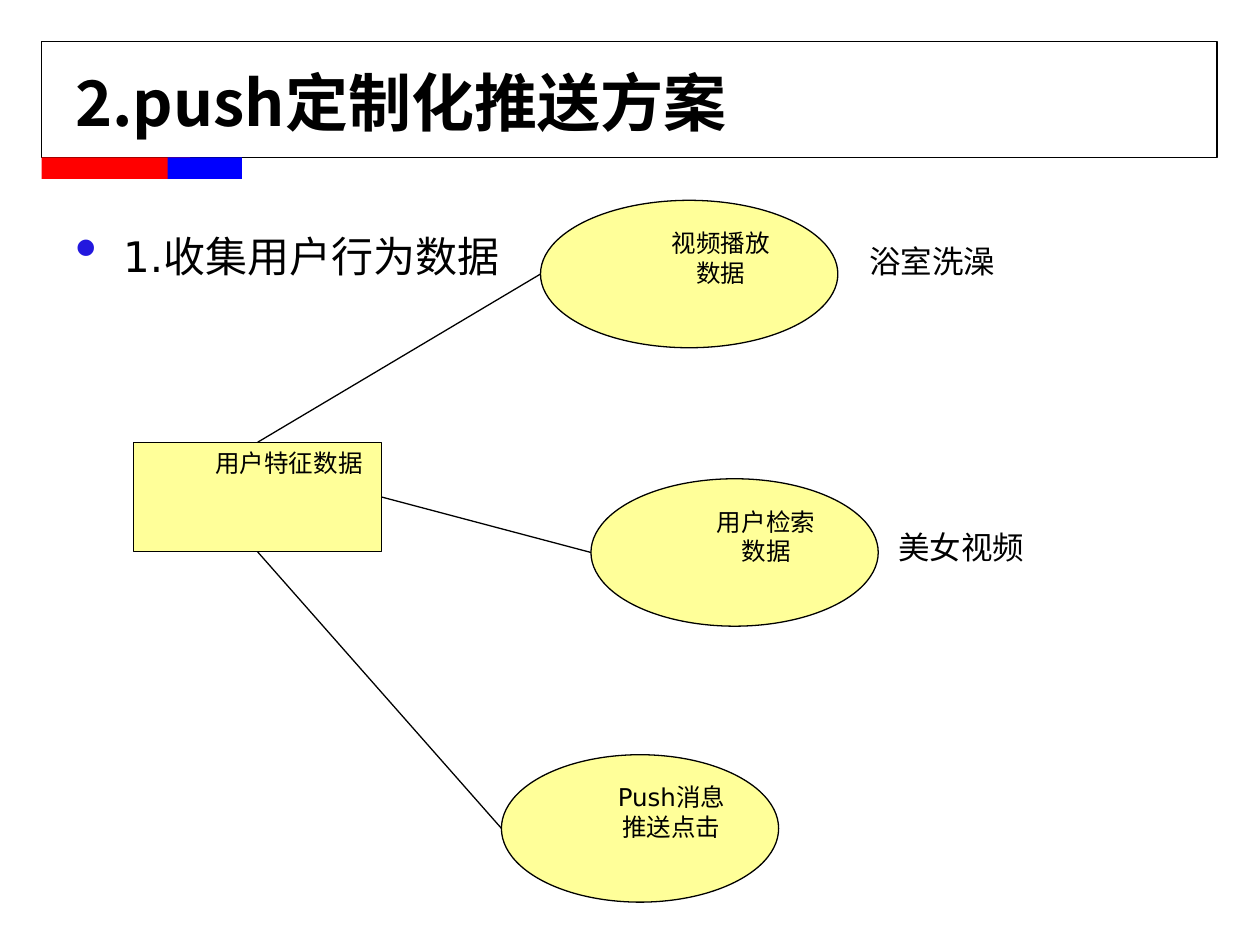
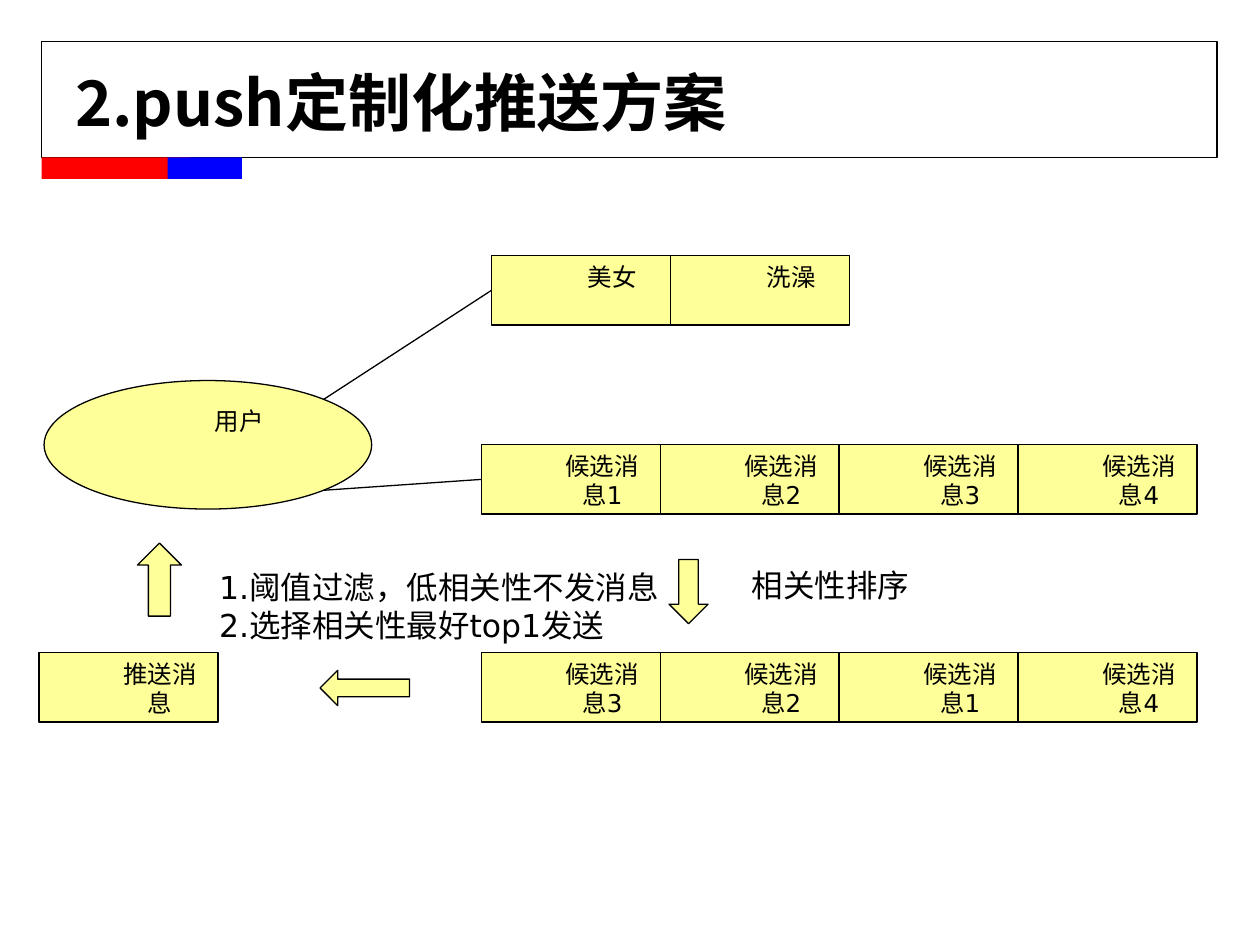
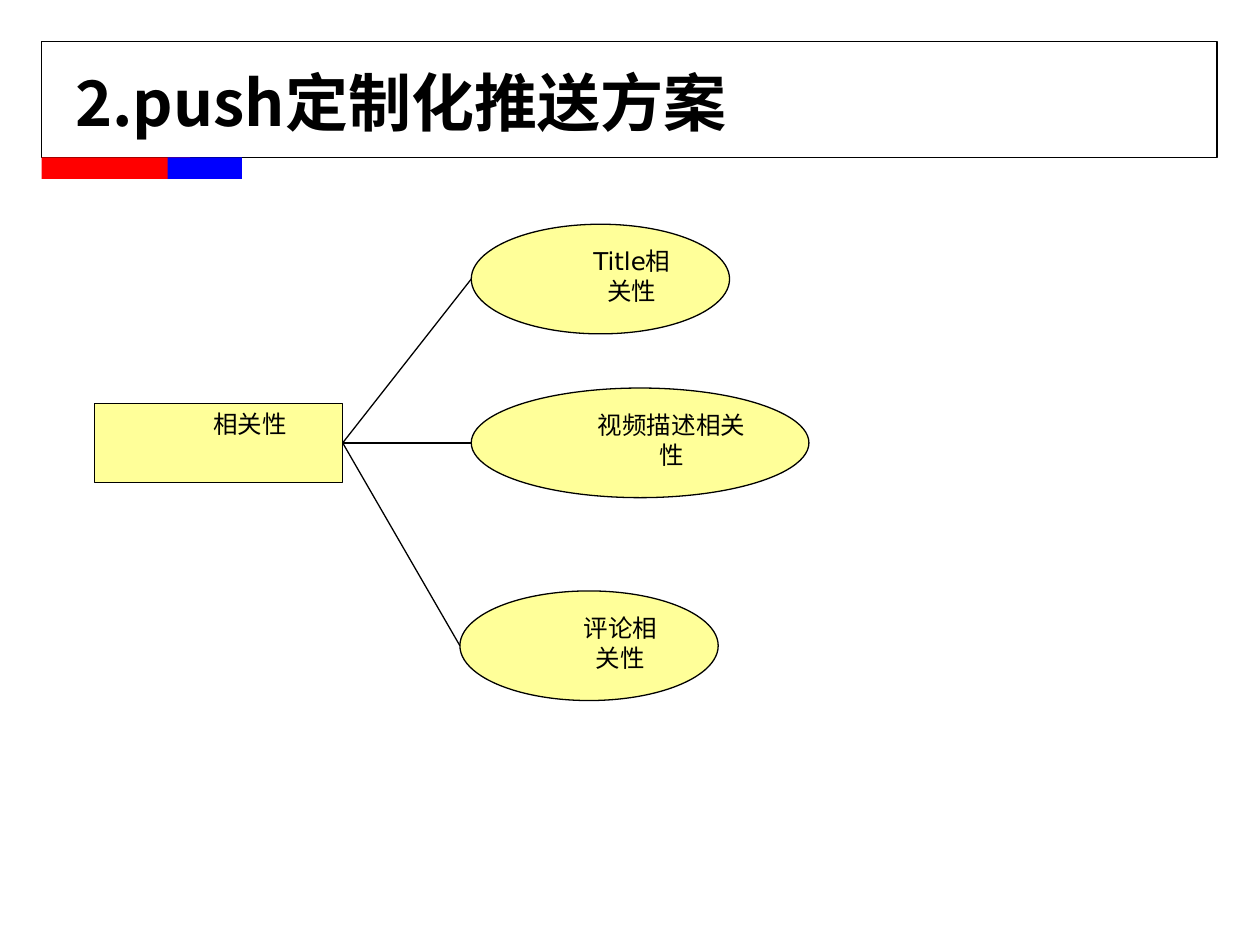
from collections import namedtuple

from lxml import etree
from pptx import Presentation
from pptx.dml.color import RGBColor
from pptx.enum.shapes import MSO_CONNECTOR, MSO_SHAPE
from pptx.enum.text import MSO_ANCHOR, MSO_AUTO_SIZE, PP_ALIGN
from pptx.oxml.ns import qn
from pptx.util import Inches, Pt

RECT, ELLIPSE = MSO_SHAPE.RECTANGLE, MSO_SHAPE.OVAL
UP, DOWN, LEFT = MSO_SHAPE.UP_ARROW, MSO_SHAPE.DOWN_ARROW, MSO_SHAPE.LEFT_ARROW
STRAIGHT = MSO_CONNECTOR.STRAIGHT
TOP, MIDDLE = MSO_ANCHOR.TOP, MSO_ANCHOR.MIDDLE
ALIGN_LEFT, ALIGN_CENTER = PP_ALIGN.LEFT, PP_ALIGN.CENTER
GROW = MSO_AUTO_SIZE.SHAPE_TO_FIT_TEXT

COLORS = {"ink": "000000", "node": "FFFF99", "red": "FF0000",
          "blue": "0000FF", "bullet": "2318DE"}
TITLE_FONT, BODY_FONT = "Noto Sans CJK SC", "DejaVu Sans"
TITLE_STYLE = {"name": TITLE_FONT, "size": Pt(36), "bold": True}
BODY_STYLE = {"name": BODY_FONT, "size": Pt(24)}
LABEL_STYLE = {"name": BODY_FONT, "size": Pt(18)}
NODE_STYLE = {"name": BODY_FONT, "size": Pt(14)}
LINE_WIDTH = Pt(0.75)
TITLE = "2.push定制化推送方案"

# Points on a box as fractions of its width and height
SIDES = {"top": (0.5, 0), "left": (0, 0.5), "right": (1, 0.5), "bottom": (0.5, 1),
         "upper right": (0.854, 0.146), "lower right": (0.854, 0.854)}

Box = namedtuple("Box", "left top width height")


def inside(region, left, top, width, height):
    """Return a box given in inches from the region's corner."""
    return Box(region.left + Inches(left), region.top + Inches(top),
               Inches(width), Inches(height))


def point(box, side):
    """Return the named point on a box."""
    across, down = SIDES[side]
    return int(box.left + box.width * across), int(box.top + box.height * down)


def color(name):
    """Return a palette colour."""
    return RGBColor.from_string(COLORS[name])


def write(frame, lines, style, align=ALIGN_LEFT, anchor=TOP):
    """Write one paragraph a line and return the paragraphs."""
    frame.word_wrap = True
    frame.vertical_anchor = anchor
    for index, line in enumerate(lines):
        para = frame.paragraphs[0] if index == 0 else frame.add_paragraph()
        para.alignment = align
        span = para.add_run()
        span.text = line
        for key, value in style.items():
            setattr(span.font, key, value)
        span.font.color.rgb = color("ink")
        east_asian = etree.SubElement(span.font._element, qn("a:ea"))
        east_asian.set("typeface", style["name"])
    return frame.paragraphs


def add_figure(page, kind, box, fill=None, line="ink"):
    """Add a flat preset shape."""
    shape = page.shapes.add_shape(kind, *box)
    shape.shadow.inherit = False
    if fill:
        shape.fill.solid()
        shape.fill.fore_color.rgb = color(fill)
    else:
        shape.fill.background()
    if line:
        shape.line.color.rgb = color(line)
        shape.line.width = LINE_WIDTH
    else:
        shape.line.fill.background()
    return shape


def add_node(page, kind, box, text):
    """Add a yellow node with indented, centred text."""
    shape = add_figure(page, kind, box, "node")
    para = write(shape.text_frame, [text], NODE_STYLE, ALIGN_CENTER)[0]
    properties = para._p.get_or_add_pPr()
    properties.set("marL", str(Inches(0.5)))
    properties.set("indent", "0")


def add_text(page, box, lines, style, anchor=TOP, grow=False):
    """Add a text box and return its paragraphs."""
    frame = page.shapes.add_textbox(*box).text_frame
    if grow:
        frame.auto_size = GROW
    return write(frame, lines, style, anchor=anchor)


def add_link(page, start, end):
    """Join two points with a thin straight line."""
    link = page.shapes.add_connector(STRAIGHT, *start, *end)
    link.line.color.rgb = color("ink")
    link.line.width = LINE_WIDTH
    etree.SubElement(link._element.spPr, qn("a:effectLst"))


def add_bullet(page, box, text):
    """Add a heading with a coloured bullet and hanging indent."""
    para = add_text(page, box, [text], BODY_STYLE)[0]
    para.line_spacing = 1.15
    para.space_before = para.space_after = Pt(6)
    properties = para._p.get_or_add_pPr()
    properties.set("marL", str(Inches(0.38)))
    properties.set("indent", str(-Inches(0.38)))
    tint = etree.SubElement(properties, qn("a:buClr"))
    etree.SubElement(tint, qn("a:srgbClr")).set("val", COLORS["bullet"])
    etree.SubElement(properties, qn("a:buSzPct")).set("val", "150000")
    etree.SubElement(properties, qn("a:buChar")).set("char", "•")


def add_header(page, box):
    """Draw the framed title with the red and blue band below it."""
    height = 0.92
    add_figure(page, RECT, box)
    add_figure(page, RECT, inside(box, 0, height, 1.18, 0.17), "red", None)
    add_figure(page, RECT, inside(box, 1, height, 0.59, 0.17), "blue", None)
    add_text(page, inside(box, 0.17, 0.05, 9, 0.85), [TITLE], TITLE_STYLE, MIDDLE)


def add_fan(page, region, root, leaves):
    """Draw a root rectangle joined to ellipses; a leaf names its root side."""
    text, place = root
    root_box = inside(region, *place)
    add_node(page, RECT, root_box, text)
    for text, place, side in leaves:
        leaf_box = inside(region, *place)
        add_node(page, ELLIPSE, leaf_box, text)
        add_link(page, point(root_box, side), point(leaf_box, "left"))


def add_row(page, region, left, top, texts):
    """Draw touching cells from left to right and return the first box."""
    width, height = 1.42, 0.55
    boxes = [inside(region, left + index * width, top, width, height)
             for index in range(len(texts))]
    for box, text in zip(boxes, texts):
        add_node(page, RECT, box, text)
    return boxes[0]


def add_push_flow(page, region):
    """Draw the loop from user to candidates, ranking and pushed message."""
    user = inside(region, 0.04, 0.99, 2.6, 1.02)
    add_node(page, ELLIPSE, user, "用户")
    interests = add_row(page, region, 3.59, 0, ["美女", "洗澡"])
    candidates = add_row(page, region, 3.51, 1.5,
                         [f"候选消息{number}" for number in (1, 2, 3, 4)])
    add_row(page, region, 3.51, 3.15,
            [f"候选消息{number}" for number in (3, 2, 1, 4)])
    add_row(page, region, 0, 3.15, ["推送消息"])
    for kind, place in ((DOWN, (5, 2.41, 0.31, 0.51)),
                        (LEFT, (2.23, 3.29, 0.71, 0.28)),
                        (UP, (0.78, 2.28, 0.35, 0.58))):
        add_figure(page, kind, inside(region, *place), "node")
    add_text(page, inside(region, 5.56, 2.41, 3.07, 0.4), ["相关性排序"],
             LABEL_STYLE, grow=True)
    add_text(page, inside(region, 1.33, 2.43, 3.98, 0.71),
             ["1.阈值过滤，低相关性不发消息", "2.选择相关性最好top1发送"],
             LABEL_STYLE, grow=True)
    add_link(page, point(user, "upper right"), point(interests, "left"))
    add_link(page, point(user, "lower right"), point(candidates, "left"))


def add_behaviour(page, region):
    """Draw the kinds of user data with their examples."""
    add_bullet(page, inside(region, -0.56, 0.13, 9, 4.95), "1.收集用户行为数据")
    add_fan(page, region, ("用户特征数据", (0, 1.92, 1.97, 0.87)), [
        ("视频播放数据", (3.23, 0, 2.36, 1.17), "top"),
        ("用户检索数据", (3.63, 2.21, 2.28, 1.17), "right"),
        ("Push消息推送点击", (2.92, 4.4, 2.2, 1.17), "bottom"),
    ])
    for text, place in (("浴室洗澡", (5.74, 0.28, 2.03, 0.4)),
                        ("美女视频", (5.97, 2.55, 1.64, 0.4))):
        add_text(page, inside(region, *place), [text], LABEL_STYLE, grow=True)


def add_relevance(page, region):
    """Draw the parts that make up relevance."""
    add_fan(page, region, ("相关性", (0, 1.42, 1.97, 0.63)), [
        ("Title相关性", (2.99, 0, 2.05, 0.87), "right"),
        ("视频描述相关性", (2.99, 1.3, 2.68, 0.87), "right"),
        ("评论相关性", (2.9, 2.91, 2.05, 0.87), "right"),
    ])


def build():
    """Build and save the deck."""
    deck = Presentation()
    deck.slide_width, deck.slide_height = Inches(10), Inches(7.5)
    sheet = Box(0, 0, deck.slide_width, deck.slide_height)
    for draw, place in ((add_behaviour, (1.06, 1.59, 7.77, 5.57)),
                        (add_push_flow, (0.31, 2.03, 9.19, 3.7)),
                        (add_relevance, (0.75, 1.78, 5.67, 3.78))):
        page = deck.slides.add_slide(deck.slide_layouts[6])
        add_header(page, inside(sheet, 0.33, 0.33, 9.33, 0.92))
        draw(page, inside(sheet, *place))
    deck.save("out.pptx")


build()
